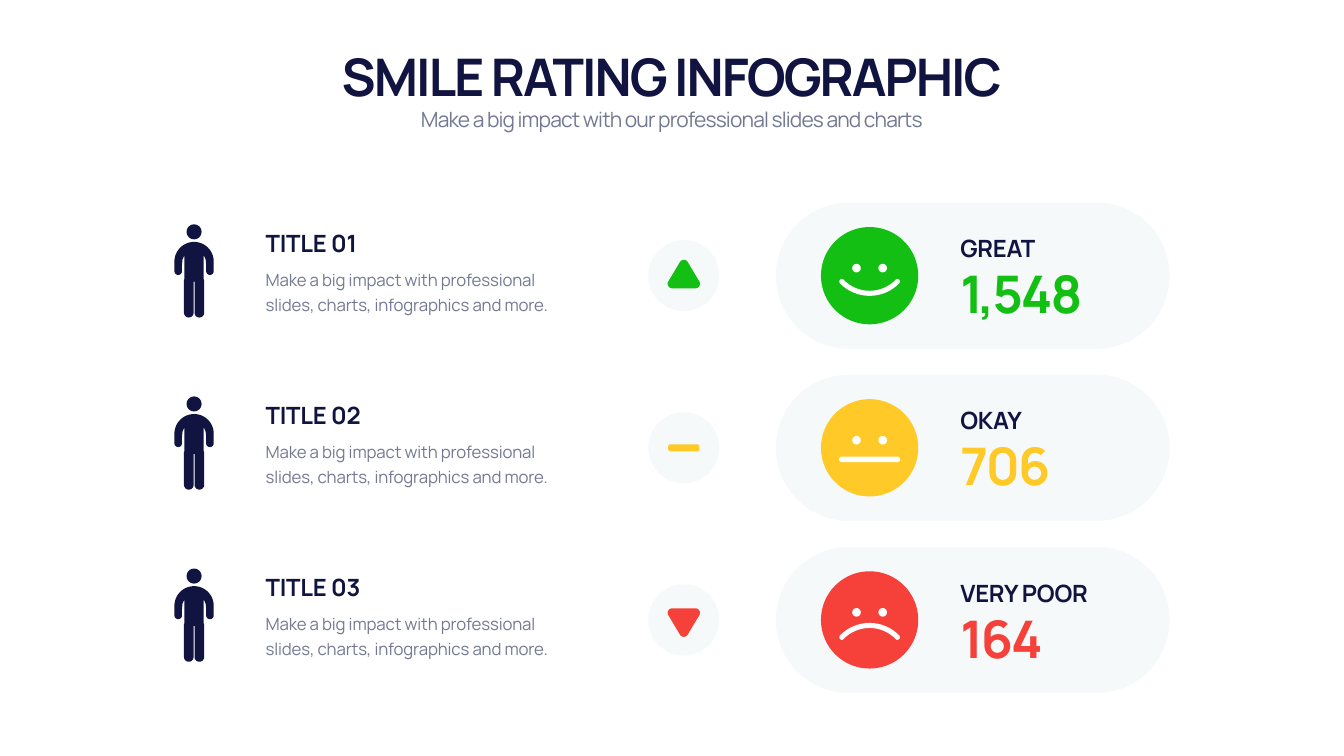
from math import cos, radians, sin

from pptx import Presentation
from pptx.dml.color import RGBColor
from pptx.enum.shapes import MSO_SHAPE as Preset
from pptx.enum.text import MSO_ANCHOR as Anchor, MSO_AUTO_SIZE as AutoSize, PP_ALIGN as Align
from pptx.oxml.ns import qn
from pptx.util import Inches, Pt

# Content
TITLE = "SMILE RATING INFOGRAPHIC"
SUBTITLE = "Make a big impact with our professional slides and charts"
BLURB = "Make a big impact with professional slides, charts, infographics and more."
RATINGS = [  # heading, label, votes, mood
    ("TITLE 01", "GREAT", "1,548", "great"),
    ("TITLE 02", "OKAY", "706", "okay"),
    ("TITLE 03", "VERY POOR", "164", "poor"),
]
COLORS = {
    "navy": "111340", "grey": "747993", "pale": "F5F9FA", "white": "FFFFFF",
    "great": "13BF13", "okay": "FFC927", "poor": "F5413A",
}

# Layout in inches
FIRST_ROW, ROW_PITCH = 5.47, 3.415
PERSON_X, TEXT_X, TREND_X, FACE_X, SCORE_X = 3.85, 5.17, 13.565, 17.25, 18.95


def arc(x, y, radius, start, end, steps=16):
    """Points on an arc, in degrees clockwise from the right."""
    angles = [radians(start + (end - start) * i / steps) for i in range(steps + 1)]
    return [(x + radius * cos(a), y + radius * sin(a)) for a in angles]


def flip(points, axis):
    return [(x, 2 * axis - y) for x, y in points]


def rounded_bar(half_width, top, bottom, radius):
    right, high, low = half_width - radius, top + radius, bottom - radius
    return (arc(right, high, radius, -90, 0) + arc(right, low, radius, 0, 90)
            + arc(-right, low, radius, 90, 180) + arc(-right, high, radius, 180, 270))


# Outlines around the centre of a row
EYES = [arc(x, -0.15, 0.085, 0, 360) for x in (-0.26, 0.26)]
SMILE = (arc(0, -0.42, 0.82, 44, 136) + arc(-0.55, 0.115, 0.05, 136, 316)
         + arc(0, -0.42, 0.72, 136, 44) + arc(0.55, 0.115, 0.05, 224, 404))
MOUTHS = {"great": SMILE, "okay": rounded_bar(0.605, 0.175, 0.285, 0.055),
          "poor": flip(SMILE, 0.23)}

ARROW = (arc(0, -0.225, 0.09, 210, 330) + arc(0.23, 0.16, 0.09, -30, 90)
         + arc(-0.23, 0.16, 0.09, 90, 210))
TRENDS = {"great": ARROW, "okay": rounded_bar(0.31, -0.07, 0.07, 0.05),
          "poor": flip(ARROW, 0.01)}

HEAD = arc(0, -0.87, 0.15, 0, 360)
HALF_BODY = (arc(0, -0.28, 0.39, -90, 0) + arc(0.315, -0.09, 0.075, 0, 180)
             + [(0.24, -0.21), (0.23, -0.32), (0.19, -0.41), (0.19, 0.07), (0.2, 0.08)]
             + arc(0.105, 0.735, 0.095, 0, 180) + [(0.01, 0.12)])
BODY = HALF_BODY + [(-x, y) for x, y in reversed(HALF_BODY)]

prs = Presentation()
prs.slide_width, prs.slide_height = Inches(26.66), Inches(15)
slide = prs.slides.add_slide(prs.slide_layouts[5])


def paint(shape, color):
    shape.shadow.inherit = False
    shape.fill.solid()
    shape.fill.fore_color.rgb = RGBColor.from_string(COLORS[color])
    shape.line.fill.background()


def add_preset(preset, x, y, width, height, color):
    """Preset shape centred on x, y."""
    shape = slide.shapes.add_shape(preset, Inches(x - width / 2), Inches(y - height / 2),
                                   Inches(width), Inches(height))
    paint(shape, color)
    return shape


def add_outline(contours, x, y, color):
    """One freeform from closed contours given around x, y."""
    placed = [[(Inches(x + dx), Inches(y + dy)) for dx, dy in points] for points in contours]
    builder = slide.shapes.build_freeform(*placed[0][0])
    for i, points in enumerate(placed):
        if i:
            builder.move_to(*points[0])
        builder.add_line_segments(points[1:], close=True)
    paint(builder.convert_to_shape(), color)


def write(text, box, size, color, spacing, bold=False, anchor=Anchor.TOP,
          align=Align.LEFT, line_height=None, shape=None):
    left, top, width, height = map(Inches, box)
    if shape is None:
        shape = slide.shapes.add_textbox(left, top, width, height)
    shape.left, shape.top, shape.width, shape.height = left, top, width, height
    frame = shape.text_frame
    frame.word_wrap = True
    frame.auto_size = AutoSize.SHAPE_TO_FIT_TEXT
    frame.vertical_anchor = anchor
    frame.text = text
    paragraph = frame.paragraphs[0]
    paragraph.alignment = align
    if line_height:
        paragraph.line_spacing = Pt(line_height)
    font = paragraph.font
    font.name, font.size, font.bold = "Manrope", Pt(size), bold
    font.color.rgb = RGBColor.from_string(COLORS[color])
    paragraph._p.pPr.find(qn("a:defRPr")).set("spc", str(round(spacing * 100)))


# Heading
write(TITLE, (1.66, 0.82, 23.33, 1.35), 74, "navy", -2.9, True, Anchor.BOTTOM,
      Align.CENTER, shape=slide.shapes.title)
write(SUBTITLE, (1.66, 2.07, 23.33, 0.61), 30, "grey", -1.2, align=Align.CENTER)

# Rating rows
for row, (heading, label, votes, mood) in enumerate(RATINGS):
    y = FIRST_ROW + row * ROW_PITCH

    # Person and description
    add_outline([BODY, HEAD], PERSON_X, y, "navy")
    write(heading, (TEXT_X, y - 0.99, 6.42, 0.67), 34, "navy", -0.3, True, Anchor.BOTTOM)
    write(BLURB, (TEXT_X, y - 0.27, 6.42, 1.09), 24, "grey", -0.2, line_height=36)

    # Trend badge
    add_preset(Preset.OVAL, TREND_X, y, 1.41, 1.41, "pale")
    add_outline([TRENDS[mood]], TREND_X, y, mood)

    # Score card with face
    card = add_preset(Preset.ROUNDED_RECTANGLE, 19.295, y, 7.81, 2.9, "pale")
    card.adjustments[0] = 0.5
    add_preset(Preset.OVAL, FACE_X, y, 1.93, 1.93, mood)
    add_outline([MOUTHS[mood], *EYES], FACE_X, y, "white")
    write(label, (SCORE_X, y - 0.88, 3.41, 0.67), 34, "navy", -0.3, True, Anchor.BOTTOM)
    write(votes, (SCORE_X, y - 0.32, 3.41, 1.35), 74, mood, -2.9, True)

prs.save("out.pptx")
